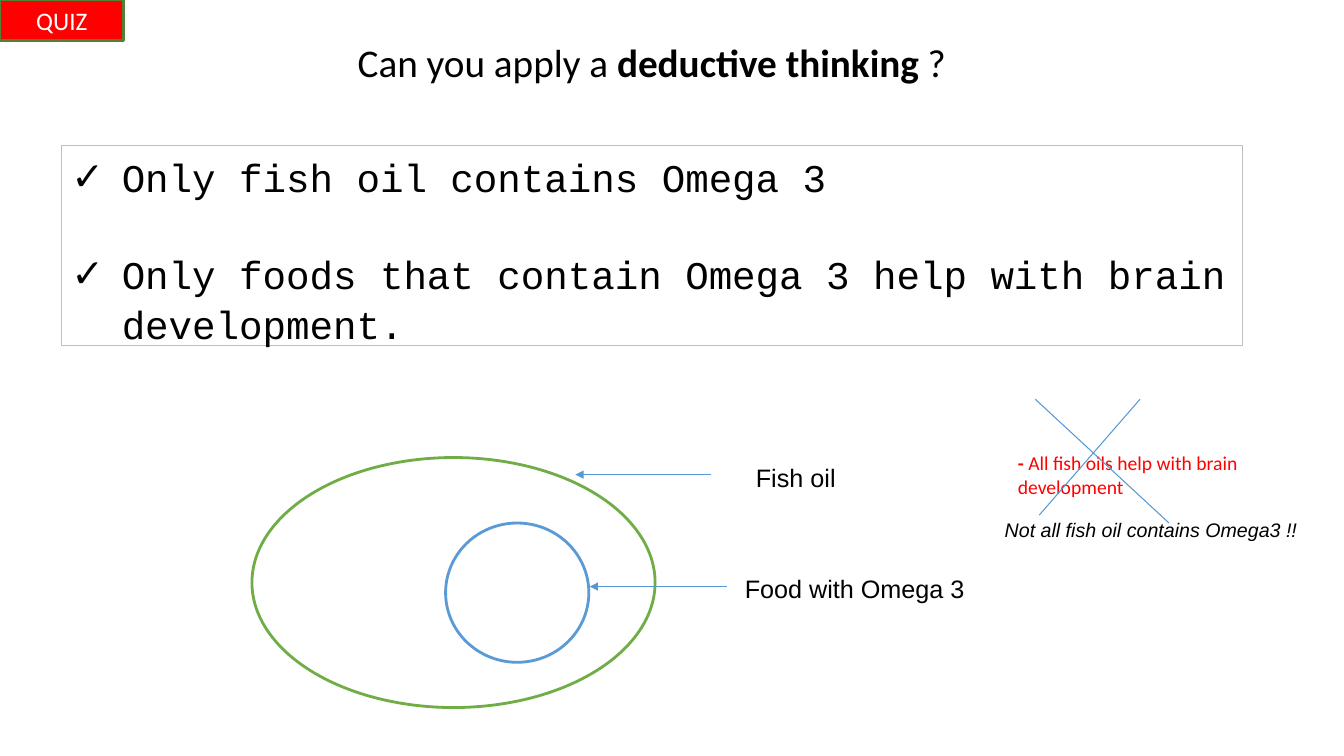
"""Build the quiz slide on deductive thinking."""
from lxml.etree import SubElement
from pptx import Presentation
from pptx.dml.color import RGBColor
from pptx.enum.shapes import MSO_CONNECTOR, MSO_SHAPE
from pptx.enum.text import MSO_ANCHOR, PP_ALIGN
from pptx.oxml.ns import qn
from pptx.util import Cm, Pt

COLORS = {
    "black": "000000", "white": "FFFFFF", "red": "FF0000", "grey": "BFBFBF",
    "dark_green": "538035", "green": "70AD47", "blue": "5B9BD5", "line_blue": "5698D3",
}
TITLE_FONT = {"name": "Calibri", "size": Pt(28), "bold": False}
PREMISE_FONT = {"name": "Courier New", "size": Pt(28)}
QUIZ_FONT = {"name": "Calibri", "size": Pt(18)}
LABEL_FONT = {"name": "Arial", "size": Pt(18)}
CLAIM_FONT = {"name": "Calibri", "size": Pt(14), "bold": False}
REASON_FONT = {"name": "Arial", "size": Pt(14), "italic": True}


def rgb(color):
    """Return the named colour."""
    return RGBColor.from_string(COLORS[color])


def apply_format(target, values):
    """Set each attribute of the target from a dict."""
    for name, value in values.items():
        setattr(target, name, value)


def add_runs(paragraph, runs, font, color):
    """Add (text, changes) runs in one font and colour."""
    for text, changes in runs:
        run = paragraph.add_run()
        run.text = text
        apply_format(run.font, {**font, **changes})
        run.font.color.rgb = rgb(color)


def add_outlined_shape(slide, kind, box, line, width, fill=None):
    """Add a flat preset shape with an outline and an optional fill."""
    shape = slide.shapes.add_shape(kind, *map(Cm, box))
    shape.shadow.inherit = False
    shape.line.color.rgb = rgb(line)
    shape.line.width = Pt(width)
    if fill:
        shape.fill.solid()
        shape.fill.fore_color.rgb = rgb(fill)
    else:
        shape.fill.background()
    return shape


def add_label(slide, box, runs, font, color="black", wrap=False):
    """Add a text box with one paragraph."""
    frame = slide.shapes.add_textbox(*map(Cm, box)).text_frame
    frame.word_wrap = wrap
    add_runs(frame.paragraphs[0], runs, font, color)


def add_line(slide, start, end, arrow=False):
    """Add a thin straight line, with an arrowhead at its end if asked."""
    connector = slide.shapes.add_connector(
        MSO_CONNECTOR.STRAIGHT, *map(Cm, start + end))
    connector.line.color.rgb = rgb("line_blue")
    connector.line.width = Pt(0.75)
    if arrow:
        SubElement(connector.line._get_or_add_ln(), qn("a:tailEnd"), type="triangle")
    SubElement(connector._element.spPr, qn("a:effectLst"))


def add_check_mark(paragraph):
    """Give the paragraph a hanging check mark bullet."""
    properties = paragraph._p.get_or_add_pPr()
    properties.set("marL", str(Cm(1.27)))
    properties.set("indent", str(Cm(-1.27)))
    SubElement(properties, qn("a:buFont"), typeface="Arial")
    SubElement(properties, qn("a:buChar"), char="✓")


def add_title(slide, runs):
    """Place and fill the title placeholder."""
    title = slide.shapes.title
    apply_format(title, dict(zip(
        ("left", "top", "width", "height"), map(Cm, (8.76, 0.84, 15.54, 1.45)))))
    apply_format(title.text_frame, {
        "word_wrap": False, "vertical_anchor": MSO_ANCHOR.TOP})
    paragraph = title.text_frame.paragraphs[0]
    paragraph.alignment = PP_ALIGN.LEFT
    add_runs(paragraph, runs, TITLE_FONT, "black")


def add_premises(slide, premises):
    """Add the framed list of premises."""
    shape = add_outlined_shape(
        slide, MSO_SHAPE.RECTANGLE, (1.55, 3.66, 29.77, 5.05), "grey", 0.75)
    frame = shape.text_frame
    frame.vertical_anchor = MSO_ANCHOR.TOP
    for index, premise in enumerate(premises):
        paragraph = frame.add_paragraph() if index else frame.paragraphs[0]
        apply_format(paragraph, {
            "alignment": PP_ALIGN.LEFT, "line_spacing": 1.07,
            "space_before": Pt(33 if index else 0)})
        add_check_mark(paragraph)
        add_runs(paragraph, [(premise, {})], PREMISE_FONT, "black")


def add_quiz_tag(slide):
    """Add the red tag in the corner."""
    tag = add_outlined_shape(
        slide, MSO_SHAPE.RECTANGLE, (0, 0, 3.12, 1.02), "dark_green", 2, "red")
    paragraph = tag.text_frame.paragraphs[0]
    paragraph.alignment = PP_ALIGN.CENTER
    add_runs(paragraph, [("QUIZ", {})], QUIZ_FONT, "white")


def add_set_diagram(slide):
    """Add the two nested sets with their labels."""
    sets = [
        ((6.35, 11.53, 10.16, 6.3), "green", (17.93, 11.96), (14.5, 11.96),
         "Fish oil", (18.8, 11.53, 2.54, 1.02)),
        ((11.23, 13.18, 3.61, 3.51), "blue", (18.31, 14.78), (14.86, 14.78),
         "Food with Omega 3", (18.52, 14.33, 6.1, 1.02)),
    ]
    for oval, color, start, end, label, label_box in sets:
        add_outlined_shape(slide, MSO_SHAPE.OVAL, oval, color, 2, "white")
        add_line(slide, start, end, arrow=True)
        add_label(slide, label_box, [(label, {})], LABEL_FONT)


def add_rejected_claim(slide):
    """Add the crossed-out claim and the reason below it."""
    claim = [("- ", {"bold": True}), ("All fish oils help with brain development", {})]
    add_label(slide, (25.4, 11.25, 7.7, 1.45), claim, CLAIM_FONT, "red", wrap=True)
    add_line(slide, (26.09, 10.06), (29.46, 13.18))
    add_line(slide, (26.19, 12.98), (28.73, 10.06))
    add_label(slide, (25.07, 12.93, 7.92, 0.86),
              [("Not all fish oil contains Omega3 !!", {})], REASON_FONT)


def main():
    """Build and save the presentation."""
    presentation = Presentation()
    apply_format(presentation, {"slide_width": Cm(33.87), "slide_height": Cm(19.05)})
    slide = presentation.slides.add_slide(presentation.slide_layouts[5])
    add_title(slide, [("Can you apply a ", {}),
                      ("deductive thinking ", {"bold": True}), ("?", {})])
    add_premises(slide, [
        "Only fish oil contains Omega 3",
        "Only foods that contain Omega 3 help with brain development.",
    ])
    add_quiz_tag(slide)
    add_set_diagram(slide)
    add_rejected_claim(slide)
    presentation.save("out.pptx")


if __name__ == "__main__":
    main()
